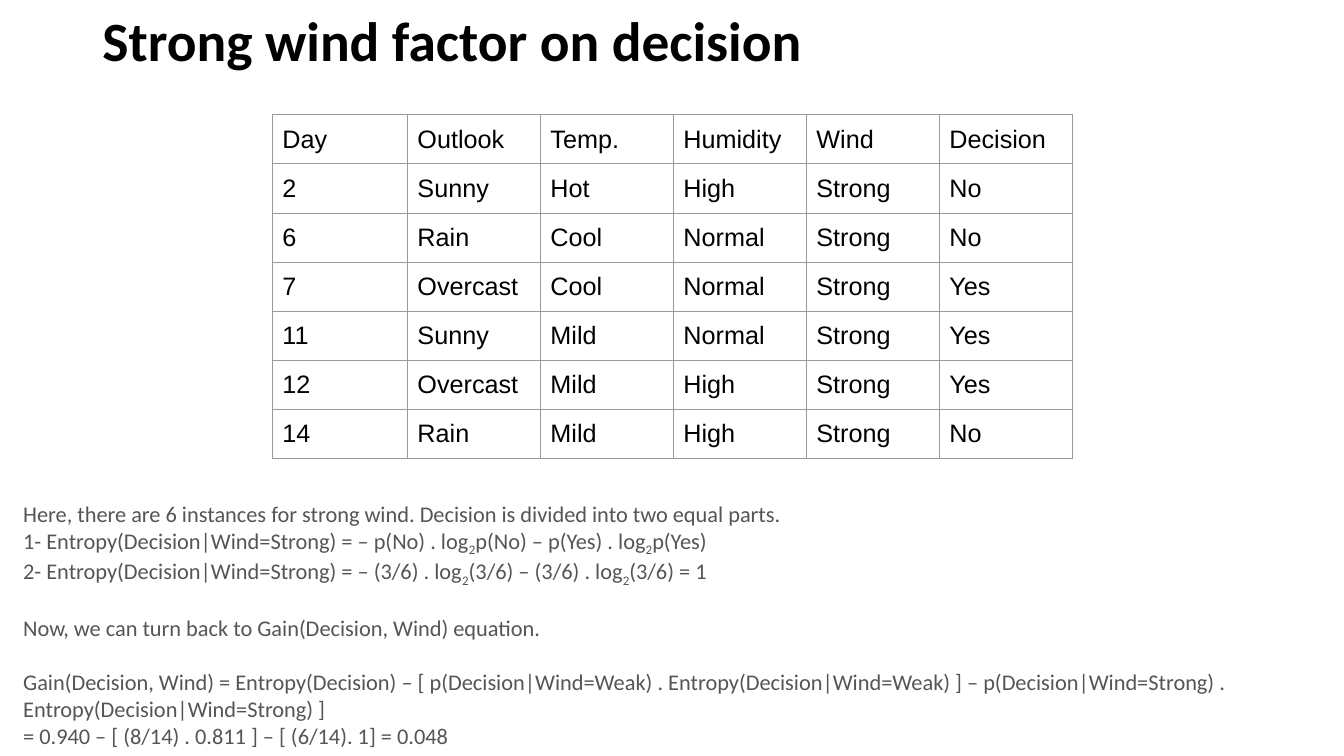
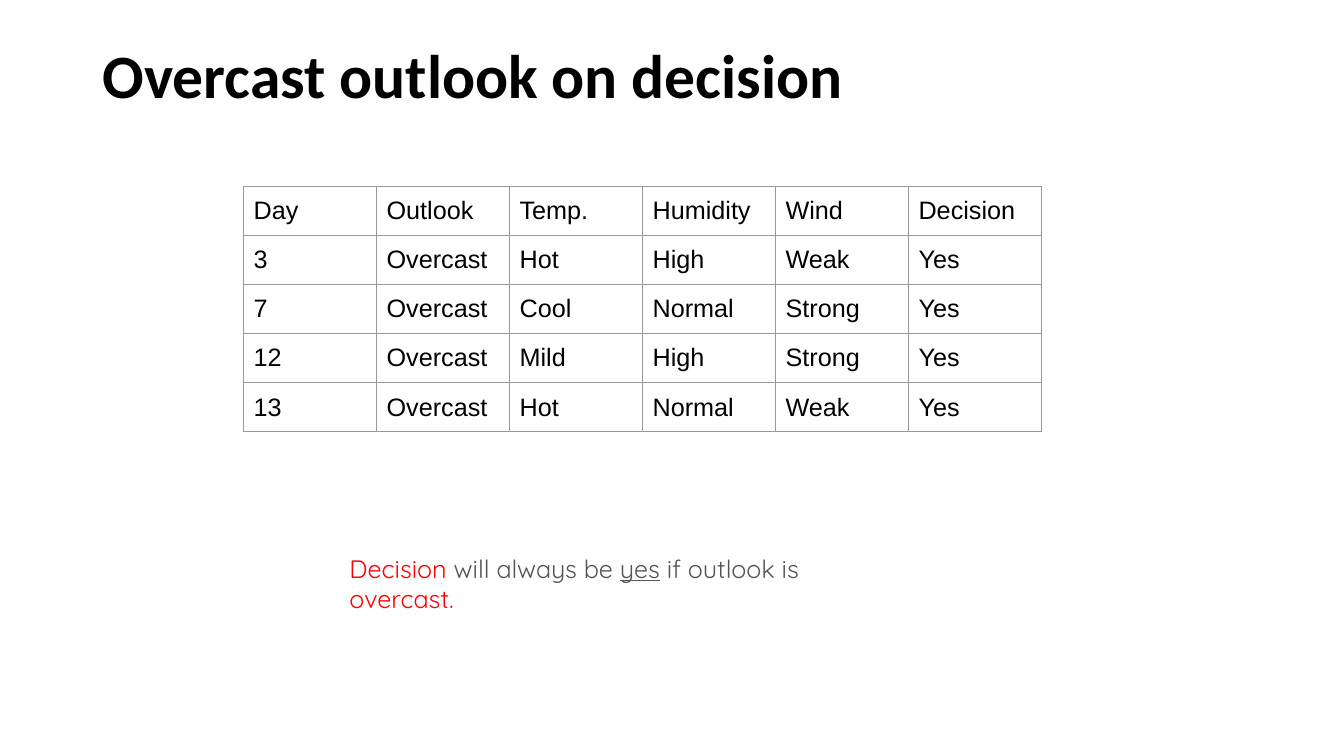
"""Build two slides on how wind and outlook drive the decision."""
from lxml import etree
from pptx import Presentation
from pptx import util as u
from pptx.dml.color import RGBColor
from pptx.enum import text
from pptx.oxml.ns import qn

COLORS = {"ink": "000000", "body": "555555", "accent": "FF0000",
          "grid": "999999", "paper": "FFFFFF"}
TITLE = {"name": "Calibri", "bold": True}
CELL = {"name": "Arial", "size": u.Pt(18), "bold": False}
FORMULA = {"name": "Calibri", "size": u.Pt(16)}
REMARK = {"name": "Quicksand", "size": u.Pt(18)}
ROW_H, COL_W = 35.1, 95
HEADER = "Day Outlook Temp. Humidity Wind Decision"


def add_run(p, words, fmt, color):
    r = p.add_run()
    r.text = words
    for name, value in fmt.items():
        setattr(r.font, name, value)
    r.font.color.rgb = RGBColor.from_string(COLORS[color])
    return r


def add_text(s, box):
    tf = s.shapes.add_textbox(*map(u.Pt, box)).text_frame
    tf.word_wrap = True
    return tf


slides = [
    {"title": "Strong wind factor on decision", "size": 39.6,
     "title_box": (66, 5.8, 828, 58), "table_at": (194.5, 82), "day_width": 96.5,
     "rows": ["2 Sunny Hot High Strong No",
              "6 Rain Cool Normal Strong No",
              "7 Overcast Cool Normal Strong Yes",
              "11 Sunny Mild Normal Strong Yes",
              "12 Overcast Mild High Strong Yes",
              "14 Rain Mild High Strong No"]},
    {"title": "Overcast outlook on decision", "size": 44,
     "title_box": (66, 29, 828, 104), "table_at": (174, 133), "day_width": COL_W,
     "rows": ["3 Overcast Hot High Weak Yes",
              "7 Overcast Cool Normal Strong Yes",
              "12 Overcast Mild High Strong Yes",
              "13 Overcast Hot Normal Weak Yes"]},
]

prs = Presentation()
prs.slide_width, prs.slide_height = u.Pt(960), u.Pt(540)

for page in slides:
    s = prs.slides.add_slide(prs.slide_layouts[5])
    sp = s.shapes.title
    sp.left, sp.top, sp.width, sp.height = map(u.Pt, page["title_box"])
    tf = sp.text_frame
    tf.auto_size = text.MSO_AUTO_SIZE.NONE
    tf.vertical_anchor = text.MSO_ANCHOR.TOP
    p = tf.paragraphs[0]
    p.alignment = text.PP_ALIGN.LEFT
    p.line_spacing = 0.9
    add_run(p, page["title"], {**TITLE, "size": u.Pt(page["size"])}, "ink")

    rows = [line.split() for line in [HEADER, *page["rows"]]]
    widths = [page["day_width"]] + [COL_W] * (len(rows[0]) - 1)
    size = (sum(widths), ROW_H * len(rows))
    table = s.shapes.add_table(len(rows), len(widths),
                               *map(u.Pt, page["table_at"] + size)).table
    table.first_row = table.horz_banding = False
    for column, width in zip(table.columns, widths):
        column.width = u.Pt(width)
    for row, values in zip(table.rows, rows):
        row.height = u.Pt(ROW_H)
        for cell, value in zip(row.cells, values):
            for side in ("left", "top", "right", "bottom"):
                setattr(cell, f"margin_{side}", u.Pt(7.2))
            cell.vertical_anchor = text.MSO_ANCHOR.MIDDLE
            add_run(cell.text_frame.paragraphs[0], value, CELL, "ink")
            tcPr = cell._tc.get_or_add_tcPr()
            for edge in ("a:lnL", "a:lnR", "a:lnT", "a:lnB"):
                ln = etree.SubElement(tcPr, qn(edge), w=str(u.Pt(0.75)))
                fill = etree.SubElement(ln, qn("a:solidFill"))
                etree.SubElement(fill, qn("a:srgbClr"), val=COLORS["grid"])
            cell.fill.solid()
            cell.fill.fore_color.rgb = RGBColor.from_string(COLORS["paper"])

wind, outlook = prs.slides

formulas = [
    (0, ["Here, there are 6 instances for strong wind. Decision is divided into two equal parts."]),
    (0, ["1- Entropy(Decision|Wind=Strong) = – p(No) . log", "2",
         "p(No) – p(Yes) . log", "2", "p(Yes)"]),
    (0, ["2- Entropy(Decision|Wind=Strong) = – (3/6) . log", "2",
         "(3/6) – (3/6) . log", "2", "(3/6) = 1"]),
    (19, ["Now, we can turn back to Gain(Decision, Wind) equation."]),
    (19, ["Gain(Decision, Wind) = Entropy(Decision) – [ p(Decision|Wind=Weak) . "
          "Entropy(Decision|Wind=Weak) ] – p(Decision|Wind=Strong) . "
          "Entropy(Decision|Wind=Strong) ]"]),
    (0, ["= 0.940 – [ (8/14) . 0.811 ] – [ (6/14). 1] = 0.048"]),
]
tf = add_text(wind, (9.5, 353.5, 914, 181.5))
for i, (gap, parts) in enumerate(formulas):
    p = tf.add_paragraph() if i else tf.paragraphs[0]
    p.space_before = u.Pt(gap)
    for k, part in enumerate(parts):
        r = add_run(p, part, FORMULA, "body")
        if k % 2:
            r._r.get_or_add_rPr().set("baseline", "-25000")

p = add_text(outlook, (242.5, 391.5, 408, 29)).paragraphs[0]
for words, color, underline in [("Decision", "accent", False),
                                (" will always be ", "body", False),
                                ("yes", "body", True),
                                (" if outlook is ", "body", False),
                                ("overcast.", "accent", False)]:
    add_run(p, words, {**REMARK, "underline": underline}, color)

prs.save("out.pptx")
